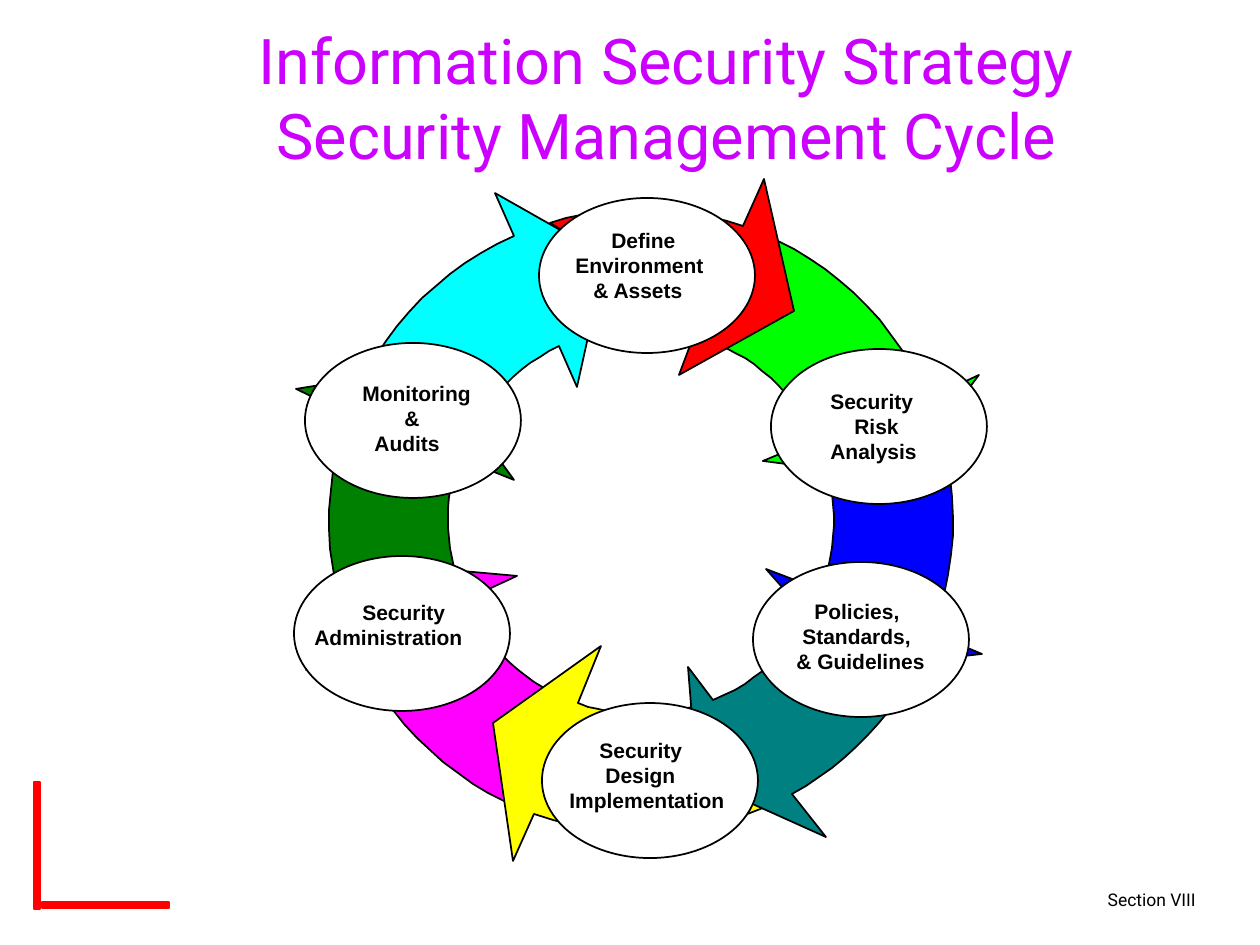
from math import cos, radians, sin

from pptx import Presentation
from pptx.dml.color import RGBColor
from pptx.enum.shapes import MSO_SHAPE as SHAPE
from pptx.enum.text import MSO_ANCHOR as ANCHOR, PP_ALIGN as ALIGN
from pptx.util import Pt

PX = 914400 / 126
CX, CY = 641, 521
OUTER, INNER = 312, 193
STEP = 12
OVAL_W, OVAL_H = 216, 155
SPACE = 6

prs = Presentation()
prs.slide_width, prs.slide_height = round(1260 * PX), round(945 * PX)
s = prs.slides.add_slide(prs.slide_layouts[6])


def paint(sp, fill, line):
    sp.shadow.inherit = False
    sp.fill.solid()
    sp.fill.fore_color.rgb = RGBColor.from_string(fill)
    sp.line.color.rgb = RGBColor.from_string(line)
    sp.line.width = Pt(1)


def add_text(box, text, size, font, color, align, anchor, wrap):
    tf = s.shapes.add_textbox(*[round(v * PX) for v in box]).text_frame
    tf.word_wrap = wrap
    tf.vertical_anchor = anchor
    tf.text = text
    for p in tf.paragraphs:
        p.alignment = align
        for r in p.runs:
            r.font.size = Pt(size)
            r.font.name = font
            r.font.color.rgb = RGBColor.from_string(color)
    return tf


for bar in [(42, 902, 127, 6), (34, 782, 6, 127)]:
    sp = s.shapes.add_shape(SHAPE.RECTANGLE, *[round(v * PX) for v in bar])
    paint(sp, "FF0000", "FF0000")

add_text((966, 882, 242, 36), "Section VIII", 10, "Roboto", "000000",
         ALIGN.RIGHT, ANCHOR.MIDDLE, True)
add_text((151, 21, 1031, 152),
         "Information Security Strategy\vSecurity Management Cycle",
         36, "Roboto", "CC00FF", ALIGN.CENTER, ANCHOR.MIDDLE, True)

# fill, outer arc degrees, inner arc degrees, head points, tail notch
arrows = [
    ("00FFFF", (205, 246), (245, 205), [(495, 193), (606, 256), (577, 387)], []),
    ("008000", (157, 200), (199, 163), [(296, 389), (432, 367), (514, 480)], []),
    ("FF00FF", (116, 156), (156, 117), [(306, 670), (384, 564), (517, 576)], []),
    ("FFFF00", (67, 110), (109, 73), [(513, 861), (493, 723), (601, 646)], []),
    ("008080", (26, 61), (68, 26), [(826, 837), (697, 779), (688, 667)], []),
    ("0000FF", (-23, 21), (21, -18), [(982, 654), (854, 668), (766, 569)], []),
    ("00FF00", (-64, -23), (-25, -64), [(979, 375), (901, 479), (763, 461)], []),
    ("FF0000", (-107, -71), (-74, -106), [(764, 179), (794, 311), (679, 375)],
     [(606, 256)]),
]
for fill, outer, inner, head, notch in arrows:
    arcs = []
    for radius, (start, end) in [(OUTER, outer), (INNER, inner)]:
        angles = [radians(start + (end - start) * i / STEP) for i in range(STEP + 1)]
        arcs.append([(CX + radius * cos(a), CY + radius * sin(a)) for a in angles])
    points = arcs[0] + head + arcs[1] + notch
    fb = s.shapes.build_freeform(*points[0], scale=PX)
    fb.add_line_segments(points[1:], close=True)
    paint(fb.convert_to_shape(), fill, "000000")

stages = [
    ((539, 198), (563, 221, 154, 88),
     [("Define", 6), ("Environment", 0), ("& Assets", 3)]),
    ((771, 349), (818, 382, 112, 88),
     [("Security", 0), ("Risk", 4), ("Analysis", 0)]),
    ((305, 343), (350, 374, 134, 88),
     [("Monitoring", 0), ("&", 7), ("Audits", 2)]),
    ((542, 703), (557, 731, 180, 88),
     [("Security", 5), ("Design", 6), ("Implementation", 0)]),
    ((294, 556), (302, 593, 174, 63),
     [("Security", 8), ("Administration", 0)]),
    ((753, 562), (784, 592, 154, 88),
     [("Policies,", 3), ("Standards,", 1), ("& Guidelines", 0)]),
]
for (x, y), box, lines in stages:
    oval = [round(v * PX) for v in (x, y, OVAL_W, OVAL_H)]
    paint(s.shapes.add_shape(SHAPE.OVAL, *oval), "FFFFFF", "000000")
    tf = add_text(box, "\n".join(t for t, _ in lines), 12, "Arial", "000000",
                  ALIGN.LEFT, ANCHOR.TOP, False)
    for p, (_, indent) in zip(tf.paragraphs, lines):
        p.runs[0].font.bold = True
        p._p.get_or_add_pPr().set("marL", str(round(indent * SPACE * PX)))

prs.save("out.pptx")
